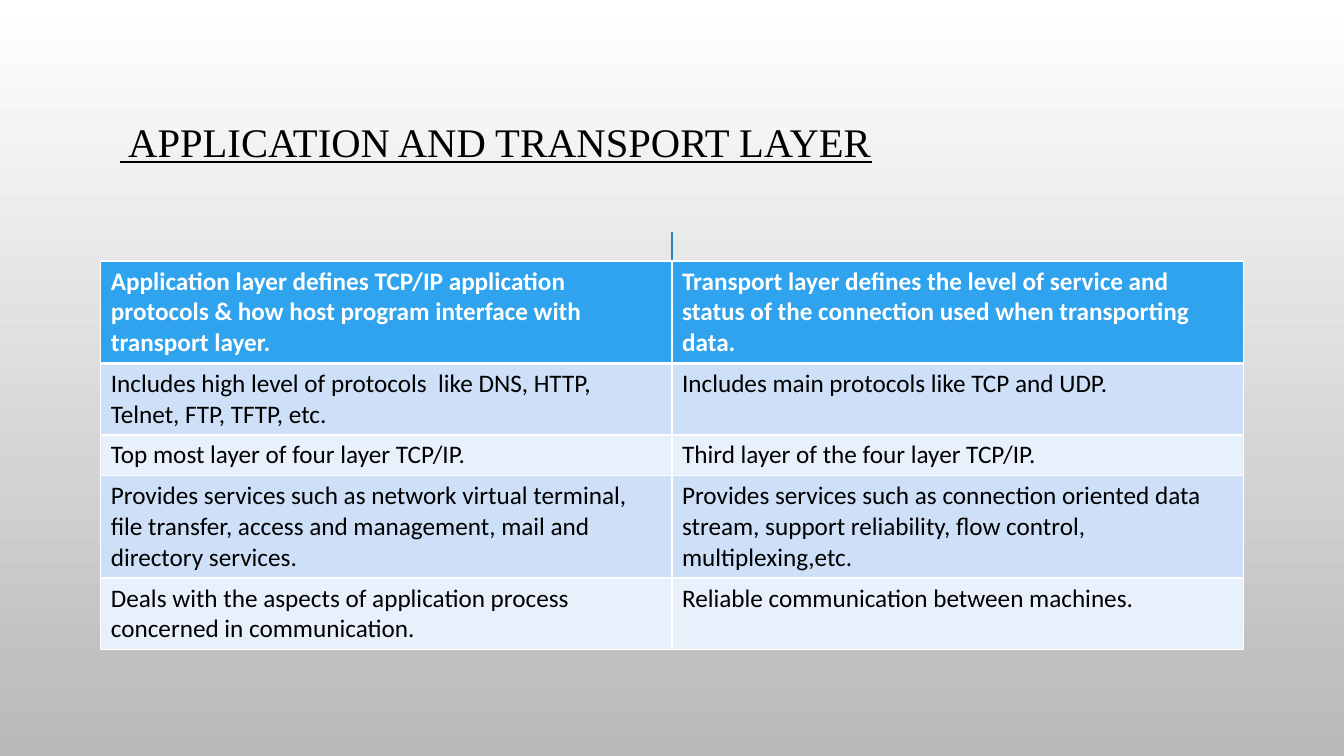
from lxml import etree
from pptx import Presentation
from pptx import util as u
from pptx.dml.color import RGBColor
from pptx.enum import shapes, text
from pptx.oxml import ns

WIDE, HIGH = 13.33, 7.5
ROWS = [
    (3, "Application layer defines TCP/IP application protocols & how host program interface with transport layer.",
     "Transport layer defines the level of service and status of the connection used when transporting data."),
    (2, "Includes high level of protocols  like DNS, HTTP, Telnet, FTP, TFTP, etc.",
     "Includes main protocols like TCP and UDP."),
    (1, "Top most layer of four layer TCP/IP.", "Third layer of the four layer TCP/IP."),
    (3, "Provides services such as network virtual terminal, file transfer, access and management, mail and directory services.",
     "Provides services such as connection oriented data stream, support reliability, flow control, multiplexing,etc."),
    (2, "Deals with the aspects of application process concerned in communication.",
     "Reliable communication between machines."),
]


def paint(color, code):
    """Set a colour from a hex string."""
    color.rgb = RGBColor.from_string(code)


def fill(item, code):
    """Give an item a solid fill."""
    item.fill.solid()
    paint(item.fill.fore_color, code)


def write(para, words, face, size, code, bold=False, under=False):
    """Add one styled run to a paragraph."""
    run = para.add_run()
    run.text = words
    font = run.font
    font.name, font.size, font.bold, font.underline = face, u.Pt(size), bold, under
    paint(font.color, code)


def edge(cell, side, width, code):
    """Draw one border of a cell."""
    props = cell._tc.get_or_add_tcPr()
    line = etree.SubElement(props, ns.qn("a:ln" + side), w=str(u.Pt(width)))
    solid = etree.SubElement(line, ns.qn("a:solidFill"))
    etree.SubElement(solid, ns.qn("a:srgbClr"), val=code)


def back(slide):
    """Shade the background from top to bottom."""
    shade = slide.background.fill
    shade.gradient()
    shade.gradient_angle = 270
    for stop, code in zip(shade.gradient_stops, ("FFFFFF", "B9B9B9")):
        paint(stop.color, code)


def title(slide, left, top, width, height):
    """Place the underlined heading."""
    box = slide.shapes.add_textbox(*map(u.Inches, (left, top, width, height)))
    frame = box.text_frame
    frame.word_wrap = True
    frame.vertical_anchor = text.MSO_ANCHOR.MIDDLE
    para = frame.paragraphs[0]
    para.alignment = text.PP_ALIGN.CENTER
    para.line_spacing = 0.9
    write(para, " APPLICATION AND TRANSPORT LAYER", "Times New Roman", 29, "000000", under=True)


def split(slide, left, top, height):
    """Draw the vertical line between the two layers."""
    ends = map(u.Inches, (left, top, left, top + height))
    line = slide.shapes.add_connector(shapes.MSO_CONNECTOR.STRAIGHT, *ends)
    line.line.width = u.Pt(0.75)
    paint(line.line.color, "2683BF")
    etree.SubElement(line._element.spPr, ns.qn("a:effectLst"))


def grid(slide, left, top, width):
    """Place the comparison table, each row as high as its lines of text."""
    highs = [0.1 + 0.305 * row[0] for row in ROWS]
    place = map(u.Inches, (left, top, width, sum(highs)))
    table = slide.shapes.add_table(len(ROWS), 2, *place).table
    for col in table.columns:
        col.width = u.Inches(width / 2)
    for i, (_, *pair) in enumerate(ROWS):
        table.rows[i].height = u.Inches(highs[i])
        head = i == 0
        tint = "2FA3EE" if head else ("E8F0FC", "CDE0F8")[i % 2]
        for j, words in enumerate(pair):
            cell = table.cell(i, j)
            for side in "LRTB":
                thick = (head and side == "B") or (i == 1 and side == "T")
                edge(cell, side, 3 if thick else 1, "FFFFFF")
            fill(cell, tint)
            ink = "FFFFFF" if head else "000000"
            write(cell.text_frame.paragraphs[0], words, "Calibri", 18, ink, bold=head)


def main():
    """Build and save the slide."""
    deck = Presentation()
    deck.slide_width, deck.slide_height = u.Inches(WIDE), u.Inches(HIGH)
    slide = deck.slides.add_slide(deck.slide_layouts[6])
    side = 1
    back(slide)
    title(slide, side, 0.81, 7.84, 1.24)
    split(slide, WIDE / 2, 2.3, 4.03)
    grid(slide, side, 2.59, WIDE - 2 * side)
    deck.save("out.pptx")


if __name__ == "__main__":
    main()
